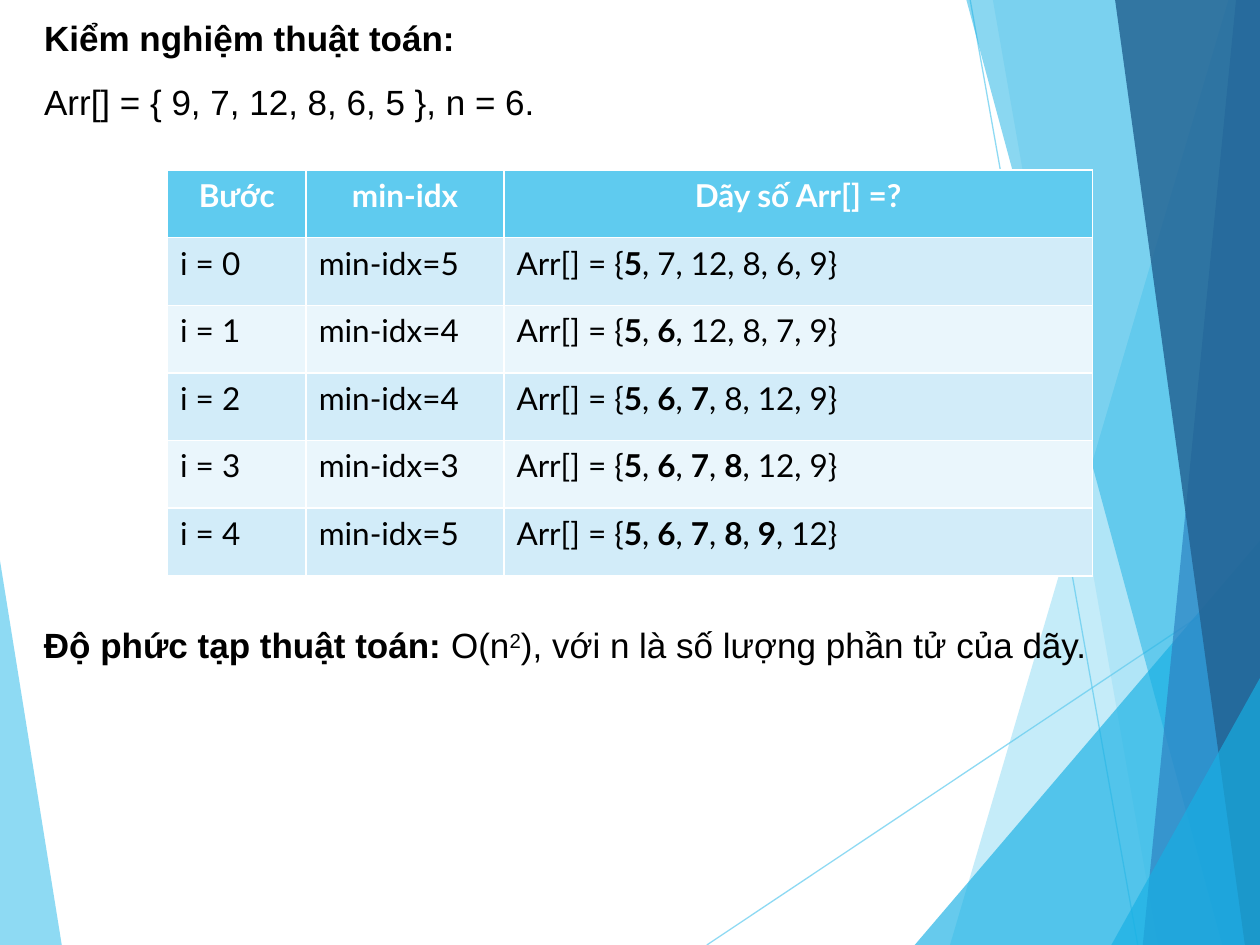
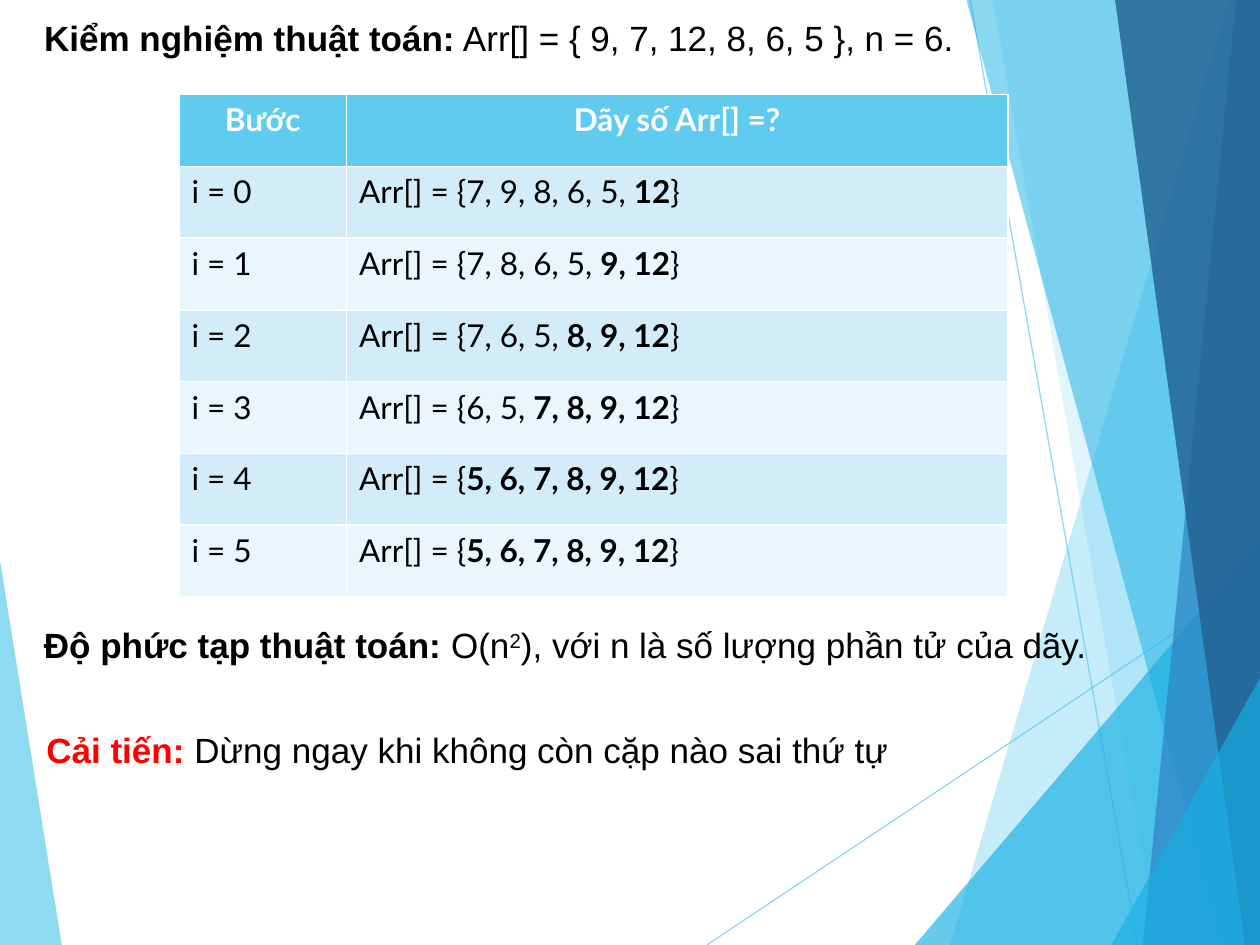
from dataclasses import dataclass

import lxml.etree
import pptx
import pptx.dml.color
import pptx.enum.shapes
import pptx.enum.text
import pptx.oxml.ns
import pptx.util

Inches = pptx.util.Inches
RGB = pptx.dml.color.RGBColor.from_string
qn = pptx.oxml.ns.qn


@dataclass(frozen=True)
class Theme:
    sky: str = "5FCBEF"
    cyan: str = "17B0E4"
    blue: str = "2E83C3"
    navy: str = "236292"
    row_dark: str = "D2ECF9"
    row_light: str = "EAF6FC"
    ink: str = "000000"
    white: str = "FFFFFF"
    accent: str = "FF0000"
    body_font: str = "Arial"
    table_font: str = "Lato"
    body_size: int = 20
    table_size: int = 18
    paragraph_gap: float = 12.5


theme = Theme()


def write(paragraph, marked, font, size, colour):
    """Fill a paragraph; *stars* mark bold text and ^carets^ superscript."""
    for i, piece in enumerate(marked.split("*")):
        for j, text in enumerate(piece.split("^")):
            if not text:
                continue
            run = paragraph.add_run()
            run.text = text
            run.font.name = font
            run.font.size = pptx.util.Pt(size)
            run.font.bold = i % 2 == 1
            run.font.color.rgb = RGB(colour)
            if j % 2:
                run.font._element.set("baseline", "30000")


def fill_box(box, left, top, width, height, lines):
    box.left, box.top = Inches(left), Inches(top)
    box.width, box.height = Inches(width), Inches(height)
    frame = box.text_frame
    frame.word_wrap = True
    frame.auto_size = pptx.enum.text.MSO_AUTO_SIZE.NONE
    frame.vertical_anchor = pptx.enum.text.MSO_ANCHOR.TOP
    for i, line in enumerate(lines):
        paragraph = frame.add_paragraph() if i else frame.paragraphs[0]
        paragraph.alignment = pptx.enum.text.PP_ALIGN.LEFT
        paragraph.space_before = pptx.util.Pt(theme.paragraph_gap if i else 0)
        write(paragraph, line, theme.body_font, theme.body_size, theme.ink)


prs = pptx.Presentation()
prs.slide_width, prs.slide_height = Inches(10), Inches(7.5)
layout = prs.slide_layouts.get_by_name("Title Only")
slides = [prs.slides.add_slide(layout) for _ in range(2)]

# Shared backdrop: drawn once, then moved to the layout
rays = [((5.61, 7.5), (10, 4.57)), ((7.7, 0), (9.03, 7.5))]
facets = [
    (theme.sky, 70, [(0, 4.45), (0.49, 7.5), (0, 7.5)]),
    (theme.sky, 36, [(9.75, 0), (7.54, 7.5), (10, 7.5), (10, 0)]),
    (theme.sky, 20, [(7.88, 0), (9.19, 7.5), (10, 7.5), (10, 0)]),
    (theme.cyan, 66, [(7.26, 7.5), (10, 4.29), (10, 7.5)]),
    (theme.cyan, 50, [(7.67, 0), (9.7, 7.5), (10, 7.5), (10, 0)]),
    (theme.blue, 70, [(9.81, 0), (9.07, 7.5), (10, 7.5), (10, 0)]),
    (theme.navy, 82, [(8.85, 0), (9.88, 7.5), (10, 7.5), (10, 0)]),
    (theme.cyan, 66, [(8.82, 7.5), (10, 5.38), (10, 7.5)]),
]
canvas = slides[0].shapes
backdrop = []
for start, end in rays:
    ray = canvas.add_connector(
        pptx.enum.shapes.MSO_CONNECTOR.STRAIGHT, *map(Inches, start + end))
    ray.line.color.rgb = RGB(theme.sky)
    ray.line.width = pptx.util.Pt(0.75)
    lxml.etree.SubElement(ray.element.spPr, qn("a:effectLst"))
    backdrop.append((ray, 70))
for colour, opacity, corners in facets:
    points = [(Inches(x), Inches(y)) for x, y in corners]
    outline = canvas.build_freeform(*points[0])
    outline.add_line_segments(points[1:], close=True)
    facet = outline.convert_to_shape()
    facet.shadow.inherit = False
    facet.fill.solid()
    facet.fill.fore_color.rgb = RGB(colour)
    facet.line.fill.background()
    backdrop.append((facet, opacity))
backdrop.insert(0, backdrop.pop(len(rays)))
for number, (part, opacity) in enumerate(backdrop, start=100):
    paint = next(part.element.spPr.iter(qn("a:srgbClr")))
    lxml.etree.SubElement(paint, qn("a:alpha")).set("val", str(opacity * 1000))
    next(part.element.iter(qn("p:cNvPr"))).set("id", str(number))
    layout.shapes.element.append(part.element)

heading = "*Kiểm nghiệm thuật toán:*"
array = "Arr[] = { 9, 7, 12, 8, 6, 5 }, n = 6."
complexity = "*Độ phức tạp thuật toán: *O(n^2^), với n là số lượng phần tử của dãy."

selection_steps = [
    ("Bước", "min-idx", "Dãy số Arr[] =?"),
    ("i = 0", "min-idx=5", "Arr[] = {*5*, 7, 12, 8, 6, 9}"),
    ("i = 1", "min-idx=4", "Arr[] = {*5*, *6*, 12, 8, 7, 9}"),
    ("i = 2", "min-idx=4", "Arr[] = {*5*, *6*, *7*, 8, 12, 9}"),
    ("i = 3", "min-idx=3", "Arr[] = {*5*, *6*, *7*, *8*, 12, 9}"),
    ("i = 4", "min-idx=5", "Arr[] = {*5*, *6*, *7*, *8*, *9*, 12}"),
]
bubble_steps = [
    ("Bước", "Dãy số Arr[] =?"),
    ("i = 0", "Arr[] = {7, 9, 8, 6, 5, *12*}"),
    ("i = 1", "Arr[] = {7, 8, 6, 5, *9, 12*}"),
    ("i = 2", "Arr[] = {7, 6, 5, *8, 9, 12*}"),
    ("i = 3", "Arr[] = {6, 5, *7, 8, 9, 12*}"),
    ("i = 4", "Arr[] = {*5, 6, 7, 8, 9, 12*}"),
    ("i = 5", "Arr[] = {*5, 6, 7, 8, 9, 12*}"),
]
# Title lines, title height, table left, top and height, column widths, steps
contents = [
    ([heading, array], 0.94, 1.33, 1.35, 3.22, [1.1, 1.57, 4.67], selection_steps),
    ([f"{heading} {array}"], 0.44, 1.42, 0.75, 3.99, [1.33, 5.25], bubble_steps),
]

for slide, content in zip(slides, contents):
    title_lines, title_height, left, top, height, widths, steps = content
    fill_box(slide.shapes.title, 0.25, 0.08, 9.75, title_height, title_lines)

    trace = slide.shapes.add_table(
        len(steps), len(widths), Inches(left), Inches(top),
        Inches(sum(widths)), Inches(height)).table
    for column, width in zip(trace.columns, widths):
        column.width = Inches(width)
    for r, step in enumerate(steps):
        for c, text in enumerate(step):
            cell = trace.cell(r, c)
            cell.fill.solid()
            paragraph = cell.text_frame.paragraphs[0]
            if r == 0:
                shade, ink, text = theme.sky, theme.white, f"*{text}*"
                paragraph.alignment = pptx.enum.text.PP_ALIGN.CENTER
            else:
                shade = theme.row_dark if r % 2 else theme.row_light
                ink = theme.ink
            cell.fill.fore_color.rgb = RGB(shade)
            write(paragraph, text, theme.table_font, theme.table_size, ink)

    fill_box(slide.shapes.add_textbox(0, 0, 0, 0), 0.25, 4.9, 9.75, 0.44, [complexity])

improvement = slides[1].shapes.add_textbox(0, 0, 0, 0)
fill_box(improvement, 0.27, 5.73, 9.73, 0.44,
         ["*Cải tiến: *Dừng ngay khi không còn cặp nào sai thứ tự"])
improvement.text_frame.paragraphs[0].runs[0].font.color.rgb = RGB(theme.accent)

prs.save("out.pptx")
